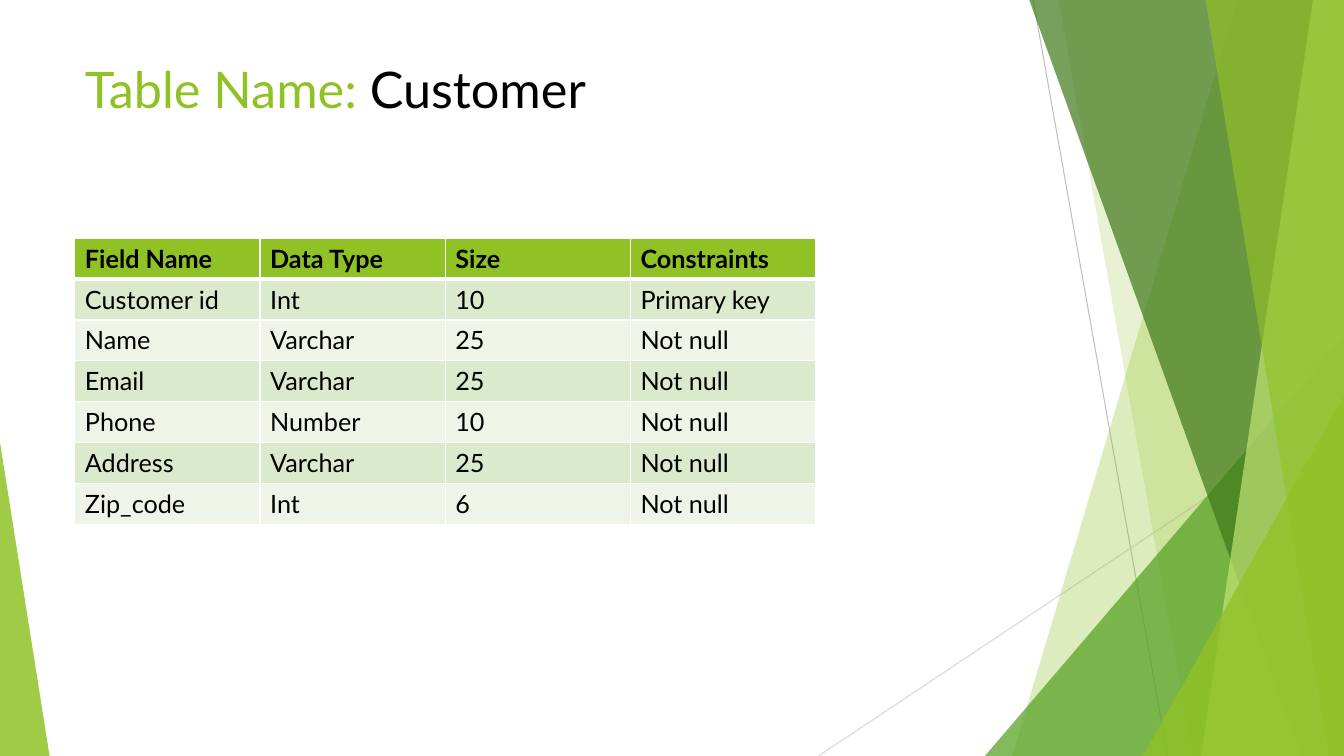
from lxml import etree
from pptx import Presentation
from pptx import util as u
from pptx.dml.color import RGBColor
from pptx.enum import shapes, text
from pptx.oxml import ns

COLORS = {
    "lime": "90C226", "green": "54A021", "forest": "3F7819", "pale": "C0E474",
    "black": "000000", "white": "FFFFFF", "gray": "BFBFBF", "silver": "D9D9D9",
    "band_dark": "DBE9CD", "band_light": "EEF4E8",
}
WIDTH, HEIGHT = 960, 540
TOP = -0.72  # the facets start slightly above the slide


class SlideBuilder:
    font_name = "Lato"

    def __init__(self, slide):
        self.slide = slide

    def color(self, name):
        return RGBColor.from_string(COLORS[name])

    def format_font(self, font, color, **values):
        for name, value in {"name": self.font_name, **values}.items():
            setattr(font, name, value)
        font.color.rgb = self.color(color)

    def paint(self, shape, color, opacity):
        shape.shadow.inherit = False
        shape.line.fill.background()
        shape.fill.solid()
        shape.fill.fore_color.rgb = self.color(color)
        fill_color = shape.fill._xPr.find(".//" + ns.qn("a:srgbClr"))
        etree.SubElement(fill_color, ns.qn("a:alpha"), val=str(opacity * 1000))

    def line(self, start, end, color):
        points = [u.Pt(value) for value in (*start, *end)]
        connector = self.slide.shapes.add_connector(shapes.MSO_CONNECTOR.STRAIGHT, *points)
        connector.line.color.rgb = self.color(color)
        connector.line.width = u.Pt(0.75)
        etree.SubElement(connector._element.spPr, ns.qn("a:effectLst"))

    def facet(self, top_left, bottom_left, color, opacity):
        """Polygon with a slanted left side, reaching the right slide edge."""
        corners = [(top_left, TOP), (WIDTH, TOP), (WIDTH, HEIGHT), (bottom_left, HEIGHT)]
        points = [(u.Pt(x), u.Pt(y)) for x, y in corners]
        builder = self.slide.shapes.build_freeform(*points[0])
        builder.add_line_segments(points[1:], close=True)
        self.paint(builder.convert_to_shape(), color, opacity)

    def triangle(self, left, width, height, apex, color, opacity):
        """Triangle standing on the bottom slide edge."""
        box = [u.Pt(value) for value in (left, HEIGHT - height, width, height)]
        shape = self.slide.shapes.add_shape(shapes.MSO_SHAPE.ISOSCELES_TRIANGLE, *box)
        shape.adjustments[0] = apex
        self.paint(shape, color, opacity)

    def title(self, box, runs):
        shape = self.slide.shapes.add_textbox(*[u.Pt(value) for value in box])
        frame = shape.text_frame
        frame.word_wrap = True
        frame.vertical_anchor = text.MSO_ANCHOR.TOP
        for words, color in runs:
            run = frame.paragraphs[0].add_run()
            run.text = words
            self.format_font(run.font, color, size=u.Pt(36))

    def border(self, cell, side, width):
        properties = cell._tc.get_or_add_tcPr()
        line = etree.SubElement(properties, ns.qn("a:ln" + side), w=str(u.Pt(width)))
        fill = etree.SubElement(line, ns.qn("a:solidFill"))
        etree.SubElement(fill, ns.qn("a:srgbClr"), val=COLORS["white"])

    def table(self, left, top, column_width, row_height, rows):
        row_count, column_count = len(rows), len(rows[0])
        box = (left, top, column_width * column_count, row_height * row_count)
        table = self.slide.shapes.add_table(
            row_count, column_count, *[u.Pt(value) for value in box]).table
        for column in table.columns:
            column.width = u.Pt(column_width)
        for row_index, values in enumerate(rows):
            table.rows[row_index].height = u.Pt(row_height)
            header = row_index == 0
            band = "lime" if header else ("band_light", "band_dark")[row_index % 2]
            widths = {"L": 1, "R": 1, "T": 3 if row_index == 1 else 1, "B": 3 if header else 1}
            for column_index, value in enumerate(values):
                cell = table.cell(row_index, column_index)
                for side, width in widths.items():
                    self.border(cell, side, width)
                cell.fill.solid()
                cell.fill.fore_color.rgb = self.color(band)
                run = cell.text_frame.paragraphs[0].add_run()
                run.text = value
                self.format_font(run.font, "black", size=u.Pt(18), bold=header)


def main():
    presentation = Presentation()
    presentation.slide_width, presentation.slide_height = u.Pt(WIDTH), u.Pt(HEIGHT)
    builder = SlideBuilder(presentation.slides.add_slide(presentation.slide_layouts[6]))

    # Background facets
    builder.line((738, 0), (834, HEIGHT), "gray")
    builder.line((WIDTH, 290), (584.6, HEIGHT), "silver")
    builder.facet(884, 723, "lime", 30)
    builder.facet(756, 852, "lime", 20)
    builder.triangle(703.5, 256.5, 300, 1, "green", 72)
    builder.facet(735, 929.5, "forest", 70)
    builder.facet(938, 858, "pale", 70)
    builder.facet(861, 949, "lime", 65)
    builder.triangle(816.5, 143.5, 257, 1, "lime", 80)
    builder.triangle(0, 35.4, 224, 0, "lime", 85)

    # Title
    builder.title((53.5, 38.2, 677, 78.5), [("Table Name: ", "lime"), ("Customer", "black")])

    # Field definitions
    builder.table(53.5, 170.2, 132.3, 29.2, [
        ("Field Name", "Data Type", "Size", "Constraints"),
        ("Customer id", "Int", "10", "Primary key"),
        ("Name", "Varchar", "25", "Not null"),
        ("Email", "Varchar", "25", "Not null"),
        ("Phone", "Number", "10", "Not null"),
        ("Address", "Varchar", "25", "Not null"),
        ("Zip_code", "Int", "6", "Not null"),
    ])

    presentation.save("out.pptx")


if __name__ == "__main__":
    main()
